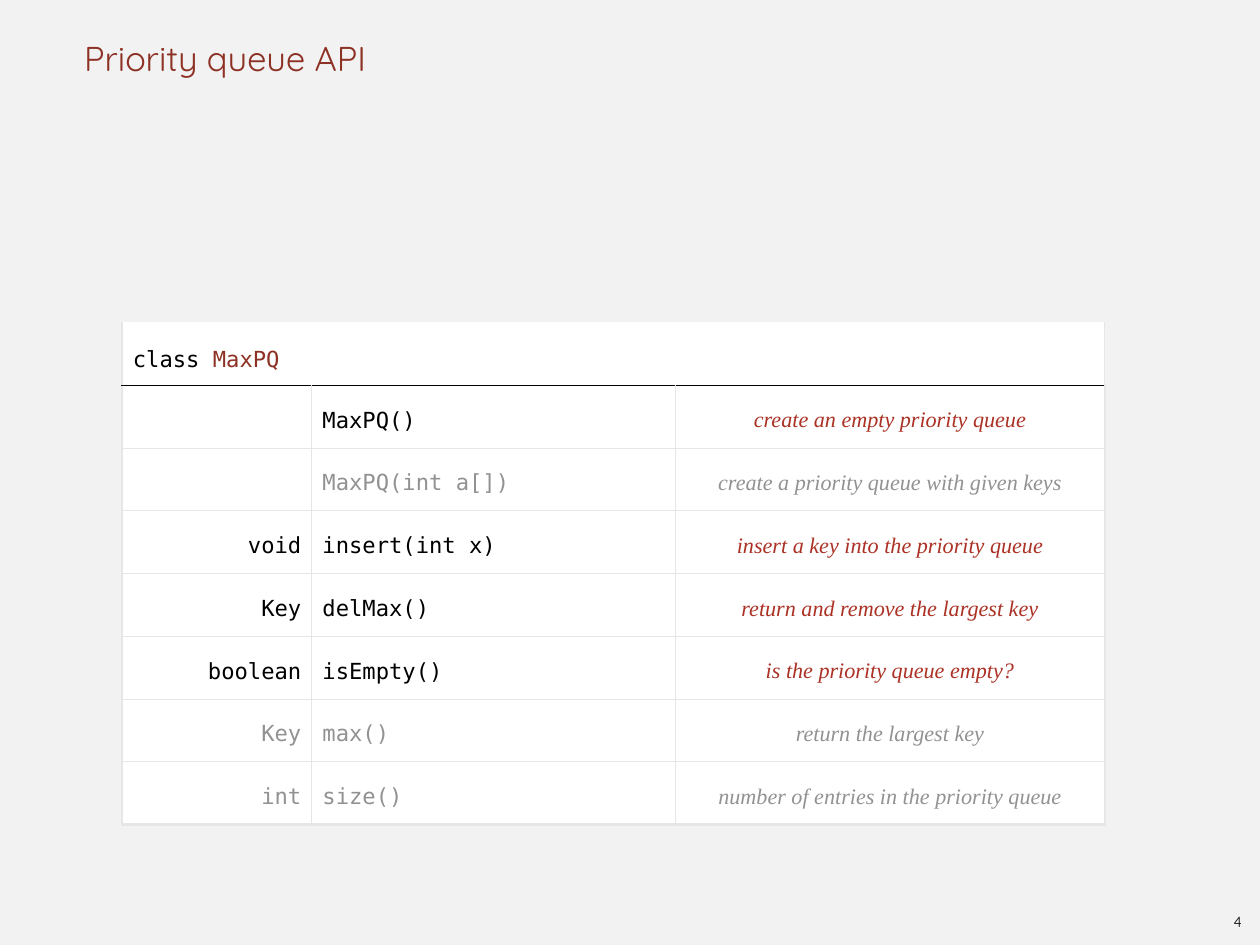
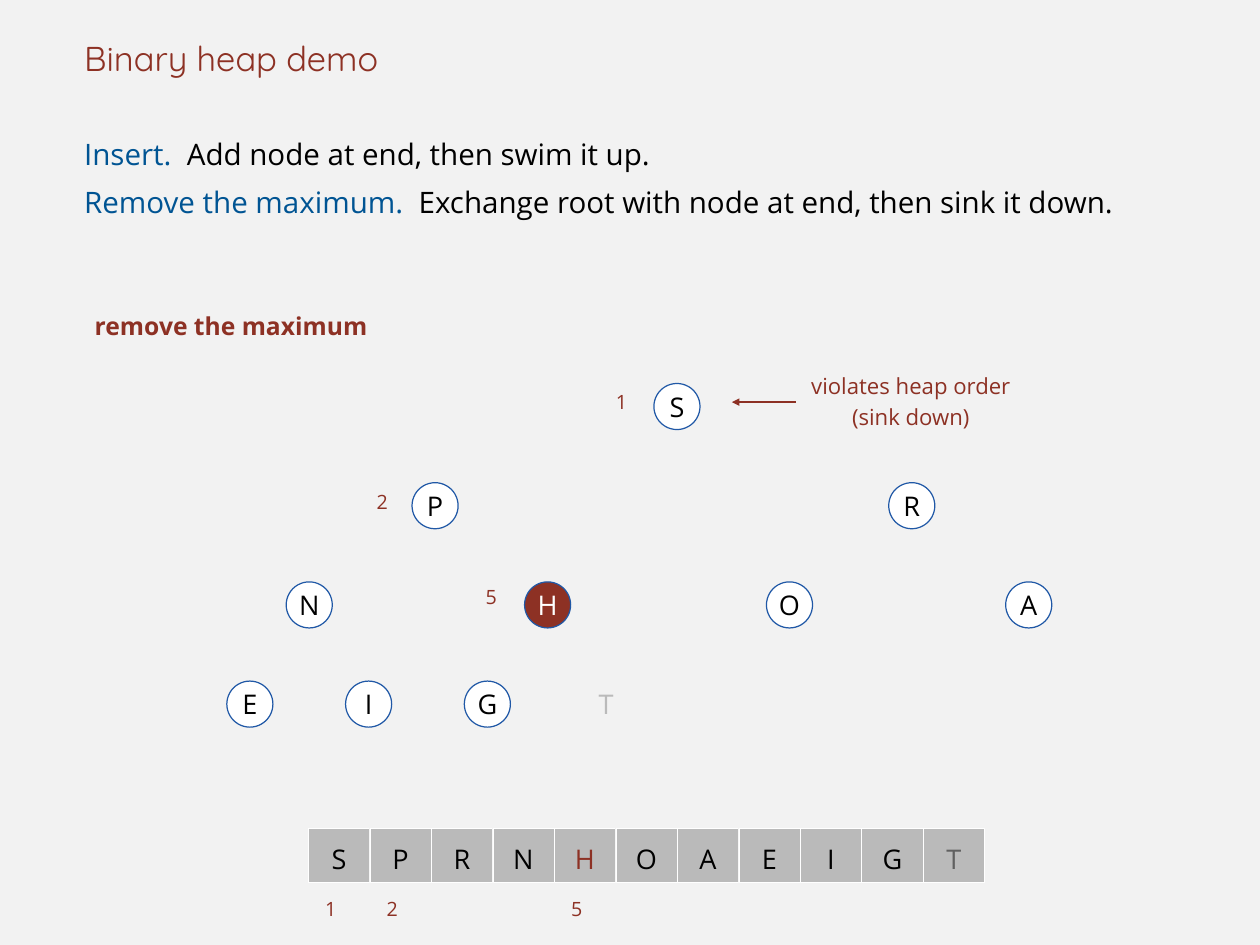
from dataclasses import dataclass
from typing import Any, NamedTuple, Optional, Sequence

from lxml import etree
from pptx import Presentation
from pptx import slide as sl
from pptx import util as u
from pptx.dml import color
from pptx.enum import shapes, text
from pptx.oxml import ns
from pptx.text import text as txt


@dataclass(frozen=True)
class Theme:
    back: str = "F2F2F2"
    black: str = "000000"
    white: str = "FFFFFF"
    red: str = "8D3124"
    note_red: str = "AB3225"
    blue: str = "005493"
    ring: str = "2058A6"
    muted: str = "929292"
    cell: str = "BABABA"
    removed: str = "606060"
    rule: str = "E6E6E6"
    head: str = "Quicksand"
    body: str = "Open Sans"
    code: str = "DejaVu Sans Mono"
    serif: str = "Times New Roman"
    title_size: int = 28
    body_size: int = 24
    letter_size: int = 22
    caption_size: int = 20
    code_size: int = 18
    index_size: int = 16
    page_size: int = 12


T = Theme()
LEFT, CENTER, RIGHT = text.PP_ALIGN.LEFT, text.PP_ALIGN.CENTER, text.PP_ALIGN.RIGHT
TOP, MIDDLE, BOTTOM = text.MSO_ANCHOR.TOP, text.MSO_ANCHOR.MIDDLE, text.MSO_ANCHOR.BOTTOM


class Box(NamedTuple):
    left: float
    top: float
    width: float
    height: float

    def emu(self) -> list[u.Length]:
        return [u.Inches(v) for v in self]


@dataclass(frozen=True)
class Run:
    text: str
    color: str = T.black
    size: int = T.code_size
    font: str = T.body
    bold: bool = False
    italic: bool = False


@dataclass(frozen=True)
class Method:
    returns: str
    call: str
    note: str
    optional: bool = False


@dataclass(frozen=True)
class Level:
    letters: str
    lefts: tuple[float, ...]


@dataclass(frozen=True)
class Index:
    number: int
    left: float
    top: float


METHODS = (
    Method("", "MaxPQ()", "create an empty priority queue"),
    Method("", "MaxPQ(int a[])", "create a priority queue with given keys", True),
    Method("void", "insert(int x)", "insert a key into the priority queue"),
    Method("Key", "delMax()", "return and remove the largest key"),
    Method("boolean", "isEmpty()", "is the priority queue empty?"),
    Method("Key", "max()", "return the largest key", True),
    Method("int", "size()", "number of entries in the priority queue", True),
)
LEVELS = (
    Level("S", (7.38,)),
    Level("PR", (4.65, 10.03)),
    Level("NHOA", (3.23, 5.92, 8.65, 11.35)),
    Level("EIGT", (2.56, 3.9, 5.24, 6.58)),
)
NODE_INDICES = (Index(1, 6.89, 4.4), Index(2, 4.19, 5.53), Index(5, 5.42, 6.6))
NODE_TOP, LEVEL_STEP, NODE_SIZE = 4.33, 1.12, 0.52
ARRAY_LEFT, ARRAY_TOP, CELL_WIDTH, CELL_HEIGHT = 3.48, 9.35, 0.69, 0.61
ARRAY_PITCH = 6.94 / 10
MARKED, REMOVED = "H", "T"


def rgb(value: str) -> color.RGBColor:
    return color.RGBColor.from_string(value)


def write(tf: txt.TextFrame, lines: Sequence[Sequence[Run]], align: Any = LEFT,
          spacing: Any = None) -> None:
    for i, line in enumerate(lines):
        p = tf.add_paragraph() if i else tf.paragraphs[0]
        p.alignment = align
        if spacing is not None:
            p.line_spacing = spacing
        for run in line:
            r = p.add_run()
            r.text = run.text
            f = r.font
            f.name, f.size = run.font, u.Pt(run.size)
            f.bold, f.italic = run.bold, run.italic
            f.color.rgb = rgb(run.color)


def frame(tf: txt.TextFrame, side: float, anchor: Any) -> None:
    tf.word_wrap = True
    tf.vertical_anchor = anchor
    tf.margin_left = tf.margin_right = u.Inches(side)
    tf.margin_top = tf.margin_bottom = 0


def add_text(s: sl.Slide, box: Box, lines: Sequence[Sequence[Run]], align: Any = LEFT,
             spacing: Any = None, anchor: Any = TOP) -> Any:
    sp = s.shapes.add_textbox(*box.emu())
    frame(sp.text_frame, 0.06, anchor)
    write(sp.text_frame, lines, align, spacing)
    return sp


def add_letter(s: sl.Slide, kind: Any, box: Box, run: Run, fill: Optional[str],
               line: Optional[str], width: float, spacing: float) -> None:
    sp = s.shapes.add_shape(kind, *box.emu())
    sp.shadow.inherit = False
    for part, value in ((sp.fill, fill), (sp.line.fill, line)):
        if value is None:
            part.background()
        else:
            part.solid()
            part.fore_color.rgb = rgb(value)
    if line is not None:
        sp.line.width = u.Pt(width)
    frame(sp.text_frame, 0, MIDDLE)
    write(sp.text_frame, [[run]], CENTER, spacing)


def add_index(s: sl.Slide, index: Index, spacing: float = 1.0) -> None:
    run = Run(str(index.number), T.red, T.index_size)
    add_text(s, Box(index.left, index.top, 0.33, 0.36), [[run]], spacing=spacing)


def add_arrow(s: sl.Slide, start: Any, x: float, y: float) -> None:
    c = s.shapes.add_connector(shapes.MSO_CONNECTOR.STRAIGHT, start.left, u.Inches(y),
                               u.Inches(x), u.Inches(y))
    c.begin_connect(start, 1)
    c.line.color.rgb = rgb(T.red)
    c.line.width = u.Pt(2)
    sp_pr = c._element.spPr
    etree.SubElement(sp_pr.get_or_add_ln(), ns.qn("a:tailEnd"), type="triangle")
    etree.SubElement(sp_pr, ns.qn("a:effectLst"))


def set_borders(cell: Any, borders: dict[str, tuple[str, float]]) -> None:
    tc_pr = cell._tc.get_or_add_tcPr()
    for i, side in enumerate("LRTB"):
        value, width = borders[side]
        ln = etree.Element(ns.qn(f"a:ln{side}"), w=str(int(u.Pt(width))))
        solid = etree.SubElement(ln, ns.qn("a:solidFill"))
        etree.SubElement(solid, ns.qn("a:srgbClr"), val=value)
        tc_pr.insert(i, ln)


def fill_cell(cell: Any, runs: Sequence[Run], align: Any, spacing: float) -> None:
    cell.vertical_anchor = MIDDLE
    cell.margin_left = cell.margin_right = u.Inches(0.12)
    cell.margin_top = cell.margin_bottom = u.Inches(0.06)
    write(cell.text_frame, [runs], align, spacing)


def add_slide(prs: Any, title: str) -> sl.Slide:
    s = prs.slides.add_slide(prs.slide_layouts[6])
    s.background.fill.solid()
    s.background.fill.fore_color.rgb = rgb(T.back)
    add_text(s, Box(0.89, 0, 12.44, 0.89), [[Run(title, T.red, T.title_size, T.head)]],
             anchor=BOTTOM)
    return s


def add_api_table(s: sl.Slide) -> None:
    rows, widths = len(METHODS) + 1, (2.14, 4.1, 4.85)
    box = Box(1.38, 3.64, sum(widths), 5.67)
    tbl = s.shapes.add_table(rows, len(widths), *box.emu()).table
    tbl.first_row = tbl.horz_banding = False
    for column, width in zip(tbl.columns, widths):
        column.width = u.Inches(width)
    for row in tbl.rows:
        row.height = u.Inches(box.height / rows)

    thin, outer, black = (T.rule, 0.75), (T.rule, 2), (T.black, 1)
    for i in range(rows):
        for j in range(len(widths)):
            cell = tbl.cell(i, j)
            cell.fill.solid()
            cell.fill.fore_color.rgb = rgb(T.white)
            set_borders(cell, {
                "L": outer if j == 0 else thin,
                "R": outer if j == len(widths) - 1 else thin,
                "T": (T.white, 0.5) if i == 0 else black if i == 1 else thin,
                "B": black if i == 0 else outer if i == rows - 1 else thin,
            })

    tbl.cell(0, 0).merge(tbl.cell(0, len(widths) - 1))
    fill_cell(tbl.cell(0, 0), [Run("class ", font=T.code), Run("MaxPQ", T.red, font=T.code)],
              LEFT, 1.5)
    for i, m in enumerate(METHODS, 1):
        ink, note_ink = (T.muted, T.muted) if m.optional else (T.black, T.note_red)
        if m.returns:
            fill_cell(tbl.cell(i, 0), [Run(m.returns, ink, font=T.code)], RIGHT, 1.3)
        fill_cell(tbl.cell(i, 1), [Run(m.call, ink, font=T.code)], LEFT, 1.3)
        fill_cell(tbl.cell(i, 2), [Run(m.note, note_ink, font=T.serif, italic=True)],
                  CENTER, 1.3)


def add_heap(s: sl.Slide) -> None:
    for depth, level in enumerate(LEVELS):
        for letter, left in zip(level.letters, level.lefts):
            ink, fill, line = {
                MARKED: (T.white, T.red, T.ring),
                REMOVED: (T.cell, None, None),
            }.get(letter, (T.black, T.white, T.ring))
            box = Box(left, NODE_TOP + depth * LEVEL_STEP, NODE_SIZE, NODE_SIZE)
            add_letter(s, shapes.MSO_SHAPE.OVAL, box, Run(letter, ink, T.letter_size),
                       fill, line, 1, 1.0)
    for index in NODE_INDICES:
        add_index(s, index)


def add_array(s: sl.Slide) -> None:
    letters = "".join(level.letters for level in LEVELS)
    for i, letter in enumerate(letters):
        ink = {MARKED: T.red, REMOVED: T.removed}.get(letter, T.black)
        box = Box(ARRAY_LEFT + i * ARRAY_PITCH, ARRAY_TOP, CELL_WIDTH, CELL_HEIGHT)
        add_letter(s, shapes.MSO_SHAPE.RECTANGLE, box, Run(letter, ink, T.letter_size),
                   T.cell, T.white, 0.5, 1.2)
    for index in NODE_INDICES:
        left = ARRAY_LEFT + (index.number - 1) * ARRAY_PITCH + 0.13
        add_index(s, Index(index.number, left, 9.99), 1.5)


def build_api(prs: Any) -> None:
    s = add_slide(prs, "Priority queue API")
    add_text(s, Box(13.8, 10.25, 0.34, 0.32), [[Run("4", size=T.page_size, font=T.head)]],
             CENTER, anchor=MIDDLE)
    add_api_table(s)


def build_demo(prs: Any) -> None:
    s = add_slide(prs, "Binary heap demo")
    steps = (
        ("Insert.  ", "Add node at end, then swim it up."),
        ("Remove the maximum.  ", "Exchange root with node at end, then sink it down."),
    )
    add_text(s, Box(0.89, 1.39, 12.44, 1.2),
             [[Run(name, T.blue, T.body_size), Run(rule, size=T.body_size)]
              for name, rule in steps], spacing=u.Pt(39))
    add_text(s, Box(1.01, 3.51, 3.3, 0.43),
             [[Run("remove the maximum", T.red, T.caption_size, bold=True)]])
    add_heap(s)
    sp = add_text(s, Box(8.98, 4.14, 2.6, 0.8),
                  [[Run("violates heap order", T.red)], [Run("(sink down)", T.red)]],
                  CENTER, 1.2)
    add_arrow(s, sp, 8.26, 4.54)
    add_array(s)


def main() -> None:
    prs = Presentation()
    prs.slide_width, prs.slide_height = u.Inches(14.22), u.Inches(10.67)
    build_api(prs)
    build_demo(prs)
    prs.save("out.pptx")


if __name__ == "__main__":
    main()
